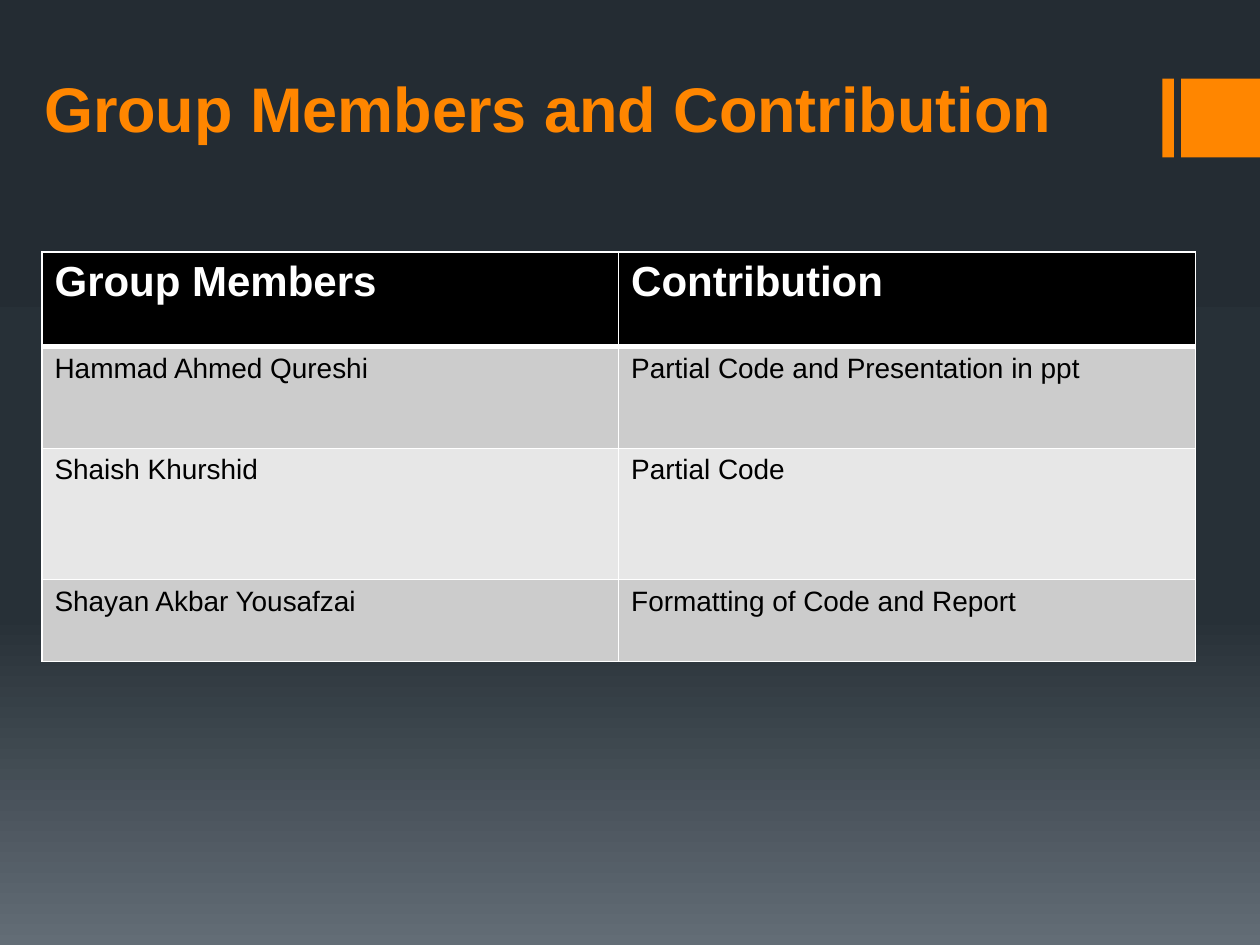
import copy
import pptx
import pptx.util
import pptx.dml.color
import pptx.enum.shapes
import pptx.enum.text
import pptx.oxml
import pptx.oxml.ns

Pt = pptx.util.Pt

# Content
TITLE = "Group Members and Contribution"
ROWS = [
    ("Group Members", "Contribution"),
    ("Hammad Ahmed Qureshi", "Partial Code and Presentation in ppt"),
    ("Shaish Khurshid", "Partial Code"),
    ("Shayan Akbar Yousafzai", "Formatting of Code and Report"),
]
ROW_HEIGHTS = [54, 58.3, 75, 46.8]
COLUMN_WIDTH = 329.5
ACCENT_BARS = [(664.2, 6.7), (675, 45)]  # left, width
BACKGROUND = [(0, "242C33"), (0.65, "273037"), (1, "636D76")]
FONT = "Arial"
COLORS = {
    "accent": "FF8600", "header": "000000", "odd": "CCCCCC", "even": "E7E7E7",
    "light": "FFFFFF", "dark": "000000",
}


def rgb(value):
    return pptx.dml.color.RGBColor.from_string(value)


def write(frame, text, size, color, bold):
    para = frame.paragraphs[0]
    para.alignment = pptx.enum.text.PP_ALIGN.LEFT
    span = para.add_run()
    span.text = text
    span.font.name = FONT
    span.font.size = Pt(size)
    span.font.bold = bold
    span.font.color.rgb = rgb(color)


def set_borders(cell, color, bottom_width):
    properties = cell._tc.get_or_add_tcPr()
    for index, side in enumerate("LRTB"):
        width = Pt(bottom_width if side == "B" else 1)
        properties.insert(index, pptx.oxml.parse_xml(
            f'<a:ln{side} {pptx.oxml.ns.nsdecls("a")} w="{width}"><a:solidFill>'
            f'<a:srgbClr val="{color}"/></a:solidFill></a:ln{side}>'))


deck = pptx.Presentation()
deck.slide_width, deck.slide_height = Pt(720), Pt(540)
page = deck.slides.add_slide(deck.slide_layouts[5])

# Background gradient, top to bottom
fill = page.background.fill
fill.gradient()
fill.gradient_angle = 270
stop_list = page.element.xpath(".//p:bg//a:gsLst")[0]
stop_list.append(copy.deepcopy(stop_list[0]))
for stop, (position, color) in zip(fill.gradient_stops, BACKGROUND):
    stop.position = position
    stop.color.rgb = rgb(color)

# Accent bars
for left, width in ACCENT_BARS:
    bar = page.shapes.add_shape(pptx.enum.shapes.MSO_SHAPE.RECTANGLE,
                                Pt(left), Pt(45), Pt(width), Pt(45))
    bar.shadow.inherit = False
    bar.fill.solid()
    bar.fill.fore_color.rgb = rgb(COLORS["accent"])
    bar.line.fill.background()

# Title
title = page.shapes.title
title.left, title.top, title.width, title.height = Pt(18), Pt(2), Pt(654), Pt(84.4)
title.text_frame.auto_size = pptx.enum.text.MSO_AUTO_SIZE.NONE
title.text_frame.vertical_anchor = pptx.enum.text.MSO_ANCHOR.BOTTOM
write(title.text_frame, TITLE, 36, COLORS["accent"], True)

# Members table
table = page.shapes.add_table(len(ROWS), 2, Pt(24), Pt(144),
                              Pt(2 * COLUMN_WIDTH), Pt(sum(ROW_HEIGHTS))).table
for column in table.columns:
    column.width = Pt(COLUMN_WIDTH)
for number, (texts, height) in enumerate(zip(ROWS, ROW_HEIGHTS)):
    table.rows[number].height = Pt(height)
    header = number == 0
    band = "header" if header else "odd" if number % 2 else "even"
    for cell, text in zip(table.rows[number].cells, texts):
        cell.fill.solid()
        cell.fill.fore_color.rgb = rgb(COLORS[band])
        set_borders(cell, COLORS["light"], 3 if header else 1)
        if number == 1:
            # The rule under the header is shared with this row
            cell._tc.tcPr.find(pptx.oxml.ns.qn("a:lnT")).set("w", str(Pt(3)))
        write(cell.text_frame, text, 24 if header else 16,
              COLORS["light" if header else "dark"], header)

deck.save("out.pptx")
